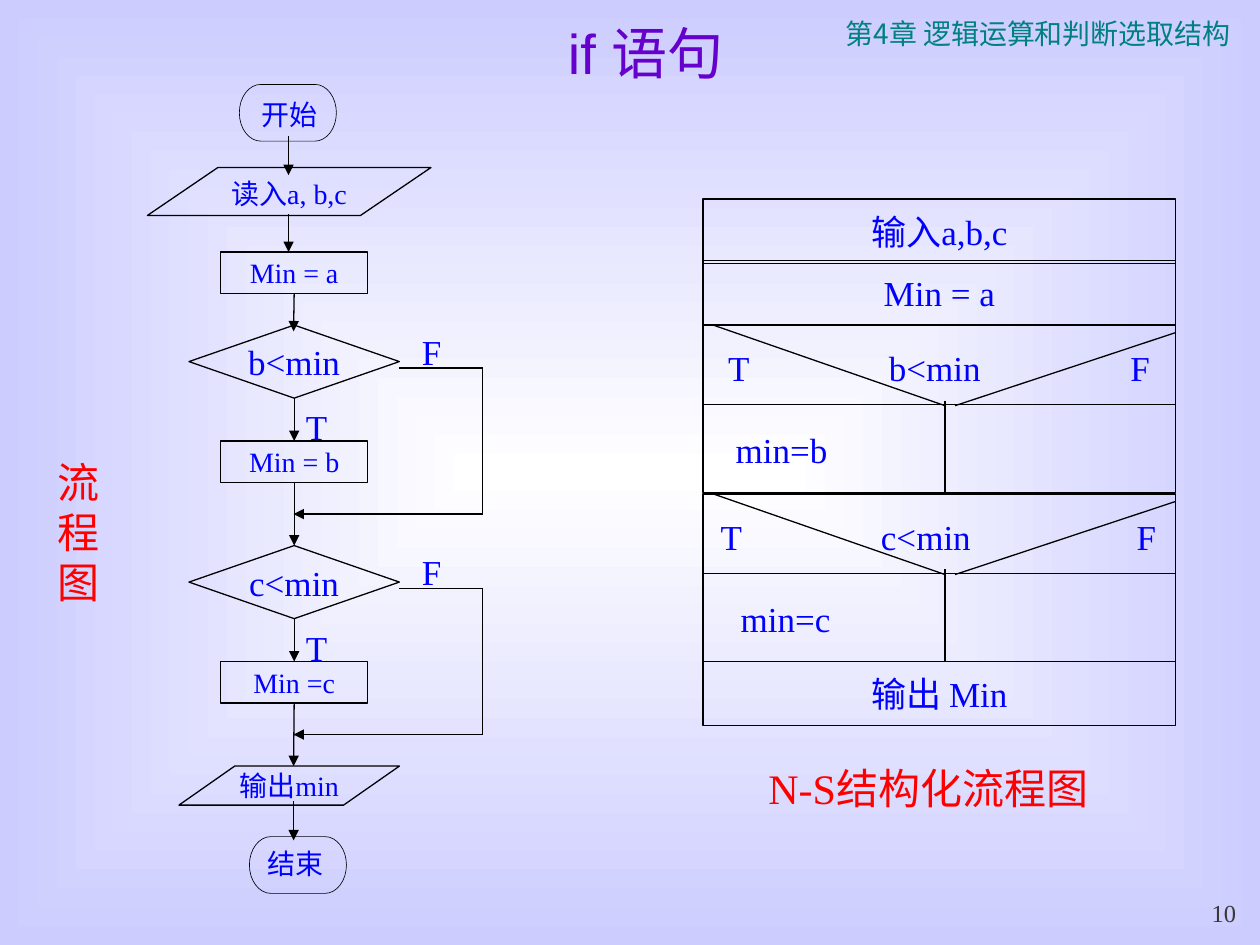
import math
from dataclasses import dataclass

from pptx import Presentation
from pptx import util as u
from pptx.dml.color import RGBColor
from pptx.enum import shapes, text
from pptx.oxml import ns
from lxml import etree

SHAPE = shapes.MSO_SHAPE
ALIGN = text.PP_ALIGN
ANCHOR = text.MSO_ANCHOR


@dataclass(frozen=True)
class Theme:
    serif: str = "Times New Roman"
    sans: str = "Arial"
    cjk: str = "Noto Sans CJK JP"
    ink: str = "0000FF"
    outline: str = "000000"
    title: str = "6600CC"
    chapter: str = "008080"
    caption: str = "FF0000"
    page: str = "393939"
    centre: str = "FFFFFF"
    edge: str = "CCCCFF"
    title_size: float = 32
    caption_size: float = 24
    large: float = 20
    small: float = 16
    page_size: float = 14
    stroke: float = 0.75
    thin: float = 0.37


@dataclass(frozen=True)
class Box:
    left: float
    top: float
    width: float
    height: float

    def lengths(self) -> list:
        return [u.Inches(v) for v in (self.left, self.top, self.width, self.height)]


@dataclass(frozen=True)
class Branch:
    """One comparison, as drawn in the flowchart and in the N-S chart."""
    condition: str
    action: str
    flow_top: float
    next_gap: float
    ns_action: str
    ns_top: float
    ns_stops: tuple
    ns_action_stop: float


T = Theme()
AXIS = 2.33
NS_LEFT, NS_WIDTH, NS_ROW, NS_BRANCH = 5.58, 3.75, 0.51, 1.33
NS_RIGHT = NS_LEFT + NS_WIDTH
BRANCHES = [
    Branch("b<min", "Min = b", 2.58, 0.5, "min=b", 2.58, (0.10, 1.74, 3.37), 0.16),
    Branch("c<min", "Min =c", 4.33, 0.5, "min=c", 3.92, (0.04, 1.67, 3.42), 0.20),
]

prs = Presentation()
prs.slide_width, prs.slide_height = u.Inches(10), u.Inches(7.5)
slide = prs.slides.add_slide(prs.slide_layouts[5])


def paint_background() -> None:
    fill = slide.background.fill
    fill.gradient()
    for stop, colour in zip(fill.gradient_stops, (T.centre, T.edge)):
        stop.color.rgb = RGBColor.from_string(colour)
    gradient = slide.element.find(".//" + ns.qn("a:gradFill"))
    gradient.remove(gradient.find(ns.qn("a:lin")))
    rect = etree.SubElement(gradient, ns.qn("a:path"), {"path": "rect"})
    etree.SubElement(rect, ns.qn("a:fillToRect"), dict.fromkeys("ltrb", "50000"))


def add_words(paragraph, words: str, size: float, colour: str = T.ink,
              font: str = T.serif, align=ALIGN.CENTER, before: float = 0) -> None:
    paragraph.alignment = align
    paragraph.space_before = u.Pt(before)
    run = paragraph.add_run()
    run.text = words
    run.font.size = u.Pt(size)
    run.font.name = font
    run.font.color.rgb = RGBColor.from_string(colour)
    etree.SubElement(run.font._element, ns.qn("a:ea"), {"typeface": T.cjk})


def set_frame(frame, anchor=ANCHOR.MIDDLE, wrap: bool = False, inset: bool = True):
    frame.word_wrap = wrap
    frame.vertical_anchor = anchor
    frame.margin_left = frame.margin_right = u.Inches(0.1 if inset else 0)
    frame.margin_top = frame.margin_bottom = u.Inches(0.05 if inset else 0)
    return frame


def add_label(box: Box, words: str, size: float, anchor=ANCHOR.TOP,
              wrap: bool = True, **style) -> None:
    label = slide.shapes.add_textbox(*box.lengths())
    frame = set_frame(label.text_frame, anchor, wrap)
    add_words(frame.paragraphs[0], words, size, **style)


def style_outline(shape, stroke: float = T.stroke) -> None:
    shape.shadow.inherit = False
    shape.fill.background()
    shape.line.color.rgb = RGBColor.from_string(T.outline)
    shape.line.width = u.Pt(stroke)


def add_block(preset, box: Box, words: str = "", size: float = T.small, before: float = 0):
    block = slide.shapes.add_shape(preset, *box.lengths())
    style_outline(block)
    frame = set_frame(block.text_frame)
    if words:
        add_words(frame.paragraphs[0], words, size, before=before)
    return block


def add_slanted(box: Box, words: str, slant: float, anchor) -> None:
    data = add_block(SHAPE.PARALLELOGRAM, box, words)
    data.adjustments[0] = slant
    set_frame(data.text_frame, anchor, wrap=True, inset=False)


def add_line(start: tuple, end: tuple, arrow: bool = False, source=None, target=None) -> None:
    """Draw a line; source is left at its bottom, target is met at its top."""
    line = slide.shapes.add_connector(
        shapes.MSO_CONNECTOR.STRAIGHT, *(u.Inches(v) for v in (*start, *end)))
    line.line.color.rgb = RGBColor.from_string(T.outline)
    line.line.width = u.Pt(T.stroke)
    if source is not None:
        line.begin_connect(source, 2)
    if target is not None:
        line.end_connect(target, 0)
    properties = line._element.spPr
    if arrow:
        etree.SubElement(properties.find(ns.qn("a:ln")), ns.qn("a:tailEnd"), {"type": "triangle"})
    etree.SubElement(properties, ns.qn("a:effectLst"))


def add_terminal(box: Box, label_box: Box, words: str) -> None:
    """Outline with a half ellipse at each end, and its label."""
    rx, ry, steps = 0.17, box.height / 2, 16
    middle = box.top + ry
    points = []
    for centre, first in ((box.left + box.width - rx, -90), (box.left + rx, 90)):
        for step in range(steps + 1):
            angle = math.radians(first + 180 * step / steps)
            points.append((u.Inches(centre + rx * math.cos(angle)),
                           u.Inches(middle + ry * math.sin(angle))))
    builder = slide.shapes.build_freeform(*points[0])
    builder.add_line_segments(points[1:], close=True)
    style_outline(builder.convert_to_shape(), T.thin)
    add_label(label_box, words, T.small, ANCHOR.MIDDLE, wrap=False, before=10)


def add_tabs(paragraph, stops: list) -> None:
    properties = paragraph._p.get_or_add_pPr()
    tabs = etree.SubElement(properties, ns.qn("a:tabLst"))
    for position, kind in stops:
        etree.SubElement(tabs, ns.qn("a:tab"), {"pos": str(u.Inches(position)), "algn": kind})


def draw_flowchart() -> None:
    add_terminal(Box(1.9, 0.67, 0.77, 0.45), Box(1.97, 0.72, 0.65, 0.37), "开始")
    add_line((2.29, 1.08), (2.29, 1.39), arrow=True)
    add_slanted(Box(1.17, 1.33, 2.25, 0.38), "读入a, b,c", 1.47, ANCHOR.TOP)
    add_line((2.29, 1.7), (2.29, 2), arrow=True)
    previous = add_block(SHAPE.RECTANGLE, Box(1.75, 2, 1.17, 0.33), "Min = a")
    add_line((AXIS, 2.33), (AXIS, 2.63), arrow=True, source=previous)
    previous = None
    bypass = 3.83
    for branch in BRANCHES:
        top = branch.flow_top
        decision = add_block(SHAPE.FLOWCHART_DECISION, Box(1.5, top, 1.67, 0.58),
                             branch.condition, T.large)
        if previous is not None:
            add_line((AXIS, top - branch.next_gap), (AXIS, top), True, previous, decision)
        previous = add_block(SHAPE.RECTANGLE, Box(1.75, top + 0.92, 1.17, 0.33), branch.action)
        add_line((AXIS, top + 0.58), (AXIS, top + 0.92), True, decision, previous)
        for box, words in ((Box(3.25, top - 0.01, 0.67, 0.44), "F"),
                           (Box(AXIS, top + 0.59, 0.42, 0.44), "T")):
            add_label(box, words, T.large, align=ALIGN.LEFT, before=12.5)
        add_line((3.17, top + 0.34), (bypass, top + 0.34))
        add_line((bypass, top + 0.34), (bypass, top + 1.5))
        add_line((bypass, top + 1.5), (AXIS, top + 1.5), arrow=True)
    add_line((AXIS, 5.58), (AXIS, 6.08), arrow=True, source=previous)
    add_slanted(Box(1.42, 6.08, 1.75, 0.31), "输出min", 1.43, ANCHOR.MIDDLE)
    add_line((AXIS, 6.36), (AXIS, 6.67), arrow=True)
    add_terminal(Box(1.98, 6.64, 0.77, 0.45), Box(2.02, 6.67, 0.65, 0.37), "结束")


def draw_ns_chart() -> None:
    for branch in BRANCHES:
        top = branch.ns_top
        block = add_block(SHAPE.RECTANGLE, Box(NS_LEFT, top, NS_WIDTH, NS_BRANCH))
        frame = set_frame(block.text_frame, wrap=True)
        test, action = frame.paragraphs[0], frame.add_paragraph()
        add_words(test, f"\tT\t{branch.condition}\tF", T.large, align=ALIGN.LEFT)
        add_tabs(test, list(zip(branch.ns_stops, ("l", "ctr", "ctr"))))
        add_words(action, f"\t{branch.ns_action}", T.large, align=ALIGN.LEFT, before=23)
        add_tabs(action, [(branch.ns_action_stop, "l")])
        for start, end in (((NS_LEFT, 0.63), (NS_RIGHT, 0.63)), ((5.66, 0), (7.5, 0.64)),
                           ((NS_RIGHT, 0.06), (7.58, 0.64)), ((7.5, 0.6), (7.5, NS_BRANCH))):
            add_line((start[0], top + start[1]), (end[0], top + end[1]))
    for top, words in ((2.07, "Min = a"), (1.58, "输入a,b,c"), (5.25, "输出 Min")):
        add_block(SHAPE.RECTANGLE, Box(NS_LEFT, top, NS_WIDTH, NS_ROW), words, T.large, 12.5)


paint_background()
title = slide.shapes.title
title.left, title.top, title.width, title.height = Box(1.75, 0, 6.75, 0.83).lengths()
add_words(set_frame(title.text_frame, wrap=True).paragraphs[0], "if 语句",
          T.title_size, T.title, T.sans)
add_label(Box(6.57, 0.08, 3.34, 0.64), "第4章 逻辑运算和判断选取结构", T.small,
          colour=T.chapter, font=T.cjk)
add_label(Box(0.25, 3.57, 0.75, 1.3), "流程图", T.caption_size, ANCHOR.MIDDLE,
          colour=T.caption, before=15)
add_label(Box(6, 6, 3.08, 0.5), "N-S结构化流程图", T.caption_size,
          colour=T.caption, align=ALIGN.LEFT, before=15)
draw_flowchart()
draw_ns_chart()
add_label(Box(9.33, 7.08, 0.58, 0.33), "10", T.page_size, ANCHOR.BOTTOM,
          colour=T.page, align=ALIGN.RIGHT)
prs.save("out.pptx")
